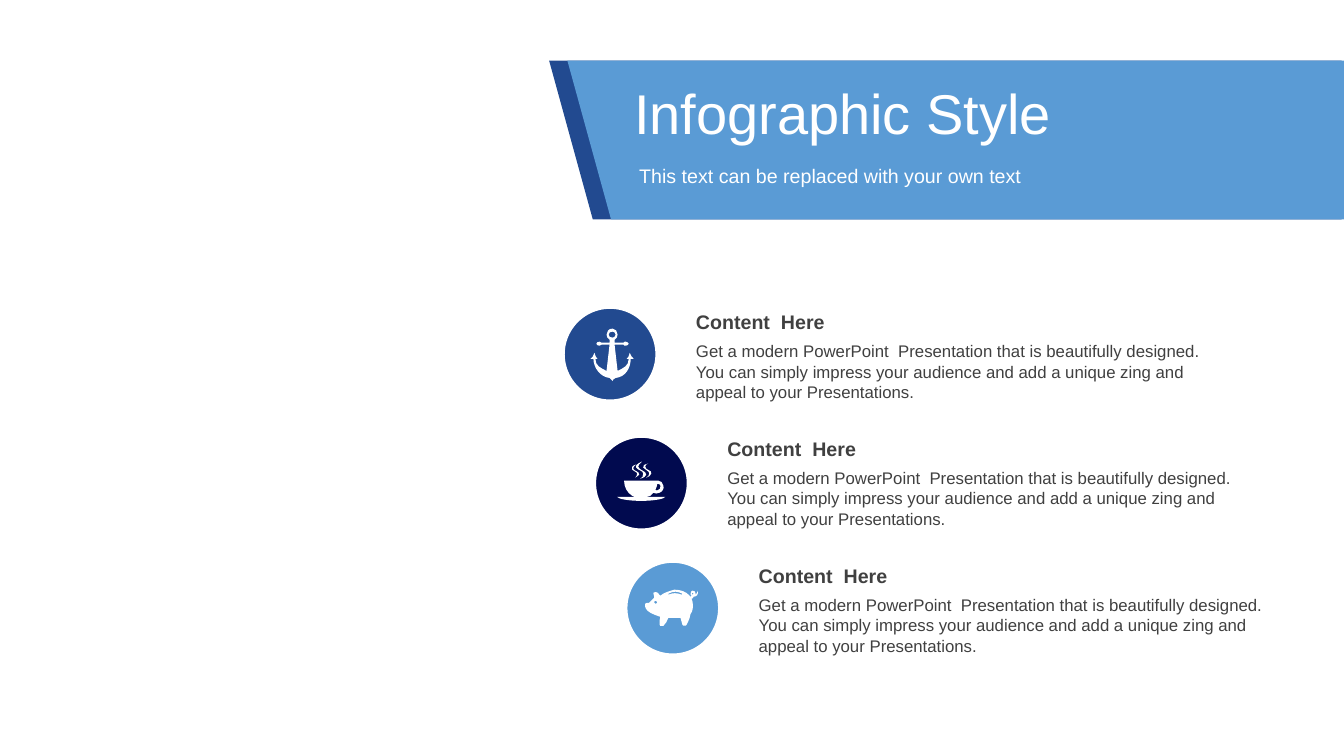
from lxml.etree import SubElement
from pptx import Presentation
from pptx.dml.color import RGBColor
from pptx.enum.shapes import MSO_SHAPE
from pptx.enum.text import MSO_ANCHOR
from pptx.oxml.ns import qn
from pptx.util import Cm, Pt

BLUE = RGBColor(0x22, 0x4A, 0x90)
NAVY = RGBColor(0x01, 0x0A, 0x4F)
SKY = RGBColor(0x5A, 0x9B, 0xD5)
WHITE = RGBColor(0xFF, 0xFF, 0xFF)
GREY = RGBColor(0x40, 0x40, 0x40)

TITLE = "Infographic Style"
SUBTITLE = "This text can be replaced with your own text"
HEADING = "Content  Here"
DETAIL = ("Get a modern PowerPoint  Presentation that is beautifully designed. "
          "You can simply impress your audience and add a unique zing and "
          "appeal to your Presentations.")

# Each outline is a list of closed contours. Steps are split by commas:
# one point is a straight line, three points are a Bézier curve.
ANCHOR = [
    "22 3, 20 3 18 4 18 6, 18 8 20 9 22 9, 23 9 25 8 25 6, 25 4 23 3 22 3",
    "22 0, 25 0 27 3 27 6, 27 8 26 10 24 11, 24 14, 33 14, 33 13 34 13 35 13, "
    "36 13 38 14 38 15, 38 16 36 17 35 17, 34 17 33 17 33 16, 24 16, 27 42, "
    "33 39 38 37 38 30, 37 30 37 30 36 30, 37 29 39 27 39 24, 40 27 41 28 43 30, "
    "42 30 41 30 40 30, 40 39 35 48 25 49, 23 50 22 51 22 52, 21 51 20 50 19 49, "
    "10 48 3 39 3 30, 2 30 1 30 0 30, 2 29 3 27 4 24, 4 27 6 28 7 30, "
    "7 30 6 30 5 30, 5 37 10 39 16 42, 19 16, 11 16, 10 17 10 17 9 17, "
    "7 17 6 16 6 15, 6 14 7 13 9 13, 10 13 10 13 11 14, 19 14, 19 11, "
    "17 10 16 8 16 6, 16 3 18 0 22 0",
]
CUP = [
    "40 22, 40 24 39 26 38 28, 39 29 40 29 41 28, 43 28 43 26 43 24, 43 23 42 22 40 22",
    "41 19, 43 19 46 21 46 24, 47 27 45 30 42 31, 40 32 38 32 36 31, "
    "35 32 34 33 33 34, 32 34 30 35 29 35, 48 35, 47 37 37 39 24 39, "
    "11 39 1 37 0 35, 18 35, 17 35 16 34 15 34, 10 31 7 25 7 19",
    "19 3, 17 5 16 5 16 7, 17 10 22 9 22 13, 21 14 20 15 18 16, "
    "19 15 20 14 20 12, 20 10 16 10 15 8, 14 6 15 4 19 3",
    "31 2, 29 3 28 3 28 5, 28 9 35 8 34 12, 33 14 32 15 29 16, "
    "31 14 32 14 32 12, 32 9 28 9 26 6, 25 4 27 3 31 2",
    "25 0, 23 2 21 3 21 5, 22 9 29 9 29 13, 28 15 27 16 23 17, "
    "25 16 26 15 26 12, 26 9 21 9 19 6, 18 4 20 2 25 0",
]
PIG = [
    "10 11, 9 11 9 12 9 13, 9 13 9 14 10 14, 11 14 12 13 12 13, 12 12 11 11 10 11",
    "47 3, 47 3 46 3 46 4, 46 5 47 5 47 5, 48 5 48 5 48 4, 48 3 48 3 47 3",
    "30 2, 27 2 25 3 23 4, 23 5, 27 3 32 3 36 5, 37 4, 35 3 32 2 30 2",
    "29 0, 35 0 41 2 44 6, 45 7, 46 7 46 7 46 6, 45 6 45 5 45 4, 45 2 46 1 47 1, "
    "49 1 50 2 50 4, 50 5 50 4 49 5, 50 5 51 5 52 1, 53 5 51 7 48 7, "
    "48 8 47 9 46 9, 47 12, 48 17 47 22 45 24, 44 29 43 31 41 35, "
    "41 36 37 36 37 35, 36 33 36 30 35 28, 31 28 26 28 23 28, 22 31 20 34 18 36, "
    "15 36, 14 36 14 30 15 27, 10 25 -2 22 0 14, 0 13 3 13 4 13, 6 11 7 10 9 8, "
    "9 6 8 4 8 3, 12 1 13 4 15 6, 18 3 25 1 29 0",
]

# colour, circle top, icon contours, icon offset inside the circle (cm)
ITEMS = [
    (BLUE, 7.73, ANCHOR, (0.7, 0.55)),
    (NAVY, 10.98, CUP, (0.58, 0.65)),
    (SKY, 14.13, PIG, (0.5, 0.73)),
]

# colour, left (cm), contour in hundredths of a centimetre
BANNER_TOP = 1.53
BANNER = [
    (BLUE, 13.84, "0 0, 1997 0, 1997 400, 110 400"),
    (SKY, 14.3, "0 0, 1957 0, 1957 400, 110 400"),
]
BANNER_UNIT, ICON_UNIT = Cm(0.01), Cm(0.0254)

CIRCLE_LEFT, CIRCLE_SIZE = 14.18, 2.39
TEXT_LEFT, TEXT_TOP, TEXT_WIDTH = 17.29, 7.7, 13.28
HEADING_HEIGHT, DETAIL_DROP, DETAIL_HEIGHT = 0.79, 0.77, 1.7
STEP_X, STEP_Y = 0.79, 3.2


def read_steps(contour):
    """Return the steps of a contour, each a list of one or three points."""
    numbers = [[int(n) for n in step.split()] for step in contour.split(",")]
    return [list(zip(step[::2], step[1::2])) for step in numbers]


def add_outline(shapes, contours, unit, colour, left, top):
    outlines = [read_steps(contour) for contour in contours]
    builder = shapes.build_freeform(*outlines[0][0][0], scale=unit)
    for i, steps in enumerate(outlines):
        if i:
            builder.move_to(*steps[0][0])
        builder.add_line_segments([step[-1] for step in steps[1:]], close=True)
    outline = builder.convert_to_shape(Cm(left), Cm(top))

    lines = list(outline.element.iter(qn("a:lnTo")))
    drawn = [step for steps in outlines for step in steps[1:]]
    for line, points in zip(lines, drawn):
        if len(points) == 3:
            curve = line.makeelement(qn("a:cubicBezTo"))
            for x, y in points:
                SubElement(curve, qn("a:pt"), x=str(x), y=str(y))
            line.getparent().replace(line, curve)

    outline.shadow.inherit = False
    outline.fill.solid()
    outline.fill.fore_color.rgb = colour
    outline.line.fill.background()


def add_text(shapes, text, box, size, colour, bold=False, anchor=MSO_ANCHOR.MIDDLE,
             before=0, spacing=None, inset=0.25):
    frame = shapes.add_textbox(*map(Cm, box)).text_frame
    frame.word_wrap = True
    frame.vertical_anchor = anchor
    frame.margin_left = Cm(inset)
    frame.text = text
    paragraph = frame.paragraphs[0]
    paragraph.space_before = Pt(before)
    paragraph.line_spacing = spacing
    font = paragraph.runs[0].font
    font.name, font.size, font.bold = "Arial", Pt(size), bold
    font.color.rgb = colour


def add_circle(shapes, left, top, colour):
    circle = shapes.add_shape(MSO_SHAPE.OVAL, Cm(left), Cm(top),
                              Cm(CIRCLE_SIZE), Cm(CIRCLE_SIZE))
    circle.shadow.inherit = False
    circle.fill.solid()
    circle.fill.fore_color.rgb = colour
    circle.line.color.rgb = WHITE
    circle.line.width = Pt(3)


def main():
    prs = Presentation()
    prs.slide_width, prs.slide_height = Cm(33.87), Cm(19.05)
    shapes = prs.slides.add_slide(prs.slide_layouts[6]).shapes

    for colour, left, contour in BANNER:
        add_outline(shapes, [contour], BANNER_UNIT, colour, left, BANNER_TOP)
    add_text(shapes, TITLE, (15.73, 1.94, 18.14, 1.98), 40, WHITE, spacing=0.9)
    add_text(shapes, SUBTITLE, (15.7, 4.06, 18.16, 0.79), 14, WHITE,
             before=10, spacing=0.9, inset=0.41)

    for i, (colour, circle_top, icon, (icon_x, icon_y)) in enumerate(ITEMS):
        circle_left = CIRCLE_LEFT + i * STEP_X
        left, top = TEXT_LEFT + i * STEP_X, TEXT_TOP + i * STEP_Y
        add_circle(shapes, circle_left, circle_top, colour)
        texts = shapes.add_group_shape().shapes
        add_text(texts, DETAIL, (left, top + DETAIL_DROP, TEXT_WIDTH, DETAIL_HEIGHT),
                 12, GREY, anchor=MSO_ANCHOR.TOP, before=2.4)
        add_text(texts, HEADING, (left, top, TEXT_WIDTH, HEADING_HEIGHT), 14, GREY,
                 bold=True, before=2.8)
        add_outline(shapes, icon, ICON_UNIT, WHITE,
                    circle_left + icon_x, circle_top + icon_y)

    prs.save("out.pptx")


if __name__ == "__main__":
    main()
